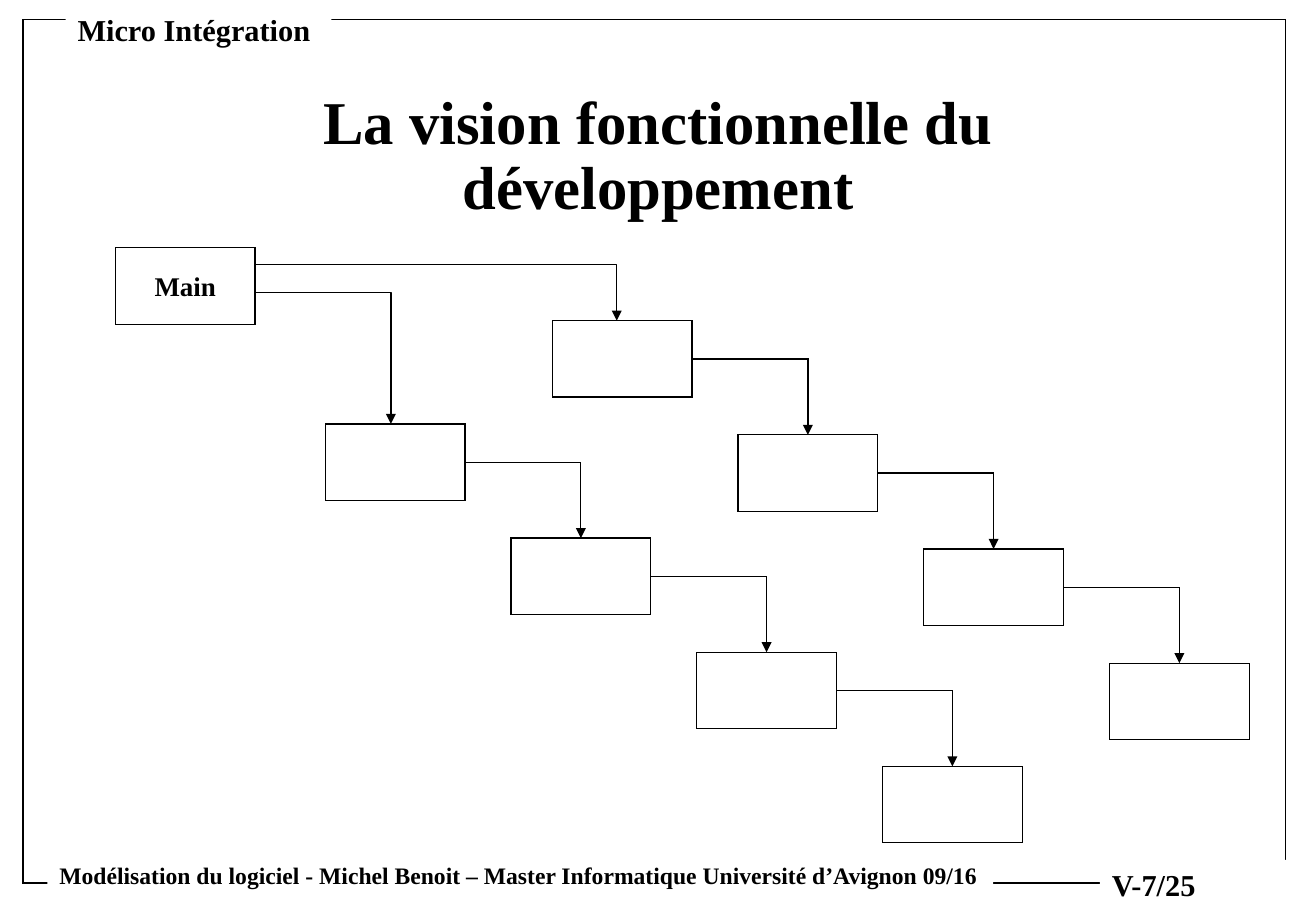
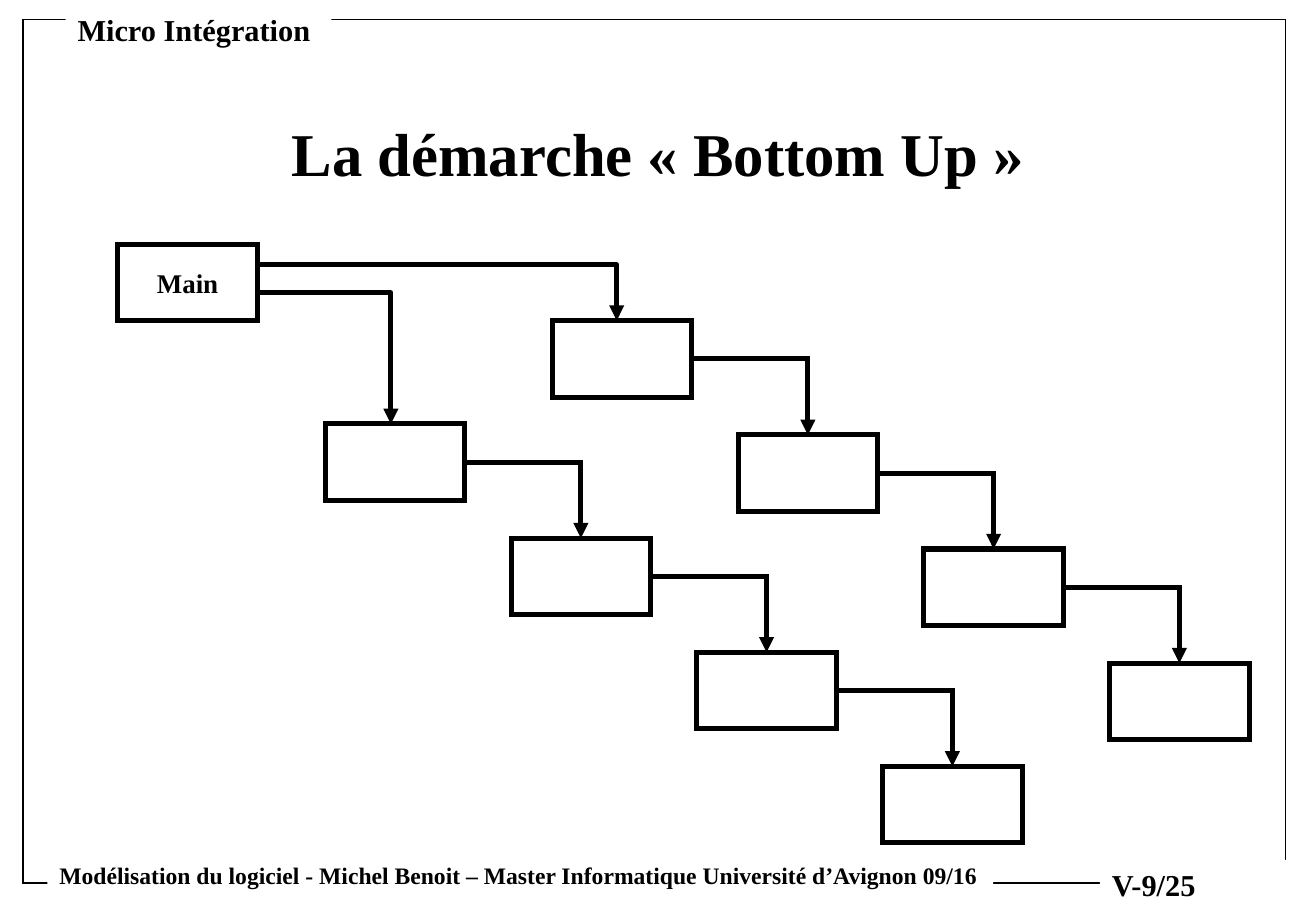
from itertools import pairwise

from lxml import etree
from pptx import Presentation
from pptx.dml.color import RGBColor
from pptx.enum.shapes import MSO_CONNECTOR, MSO_SHAPE
from pptx.enum.text import MSO_ANCHOR, PP_ALIGN
from pptx.oxml.ns import qn
from pptx.util import Inches, Pt

RECTANGLE = MSO_SHAPE.RECTANGLE
ELBOW = MSO_CONNECTOR.ELBOW
MIDDLE, TOP = MSO_ANCHOR.MIDDLE, MSO_ANCHOR.TOP
CENTER, LEFT = PP_ALIGN.CENTER, PP_ALIGN.LEFT
TOP_SIDE, RIGHT_SIDE = 0, 3

BLACK, WHITE = "000000", "FFFFFF"
FONT = "Times New Roman"

SLIDES = [
    {"title": "La vision fonctionnelle du développement", "number": "V-7/25",
     "line_width": 0.75, "main": (0.95, 2.04)},
    {"title": "La démarche « Bottom Up »", "number": "V-9/25",
     "line_width": 3, "main": (0.97, 2.01)},
]
HEADER = "Micro Intégration"
FOOTER = ("Modélisation du logiciel - Michel Benoit – "
          "Master Informatique Université d’Avignon 09/16")

# Left, top, width, height in inches
FRAME = (0.19, 0.16, 10.4, 7.11)
TITLE = (1.17, 0.67, 8.5, 1.25)
NUMBER_BAND = (9.06, 7.08, 1.78, 0.4)
HEADER_BAND = (0.54, 0.04, 2.19, 0.4)
FOOTER_BAND = (0.39, 7.04, 7.79, 0.33)

BOX_SIZE = (1.15, 0.63)
CHAIN_STARTS = [(4.55, 2.64), (2.68, 3.49)]
CHAIN_LENGTH = 4
CHAIN_STEP = (1.53, 0.94)
MAIN_ARROWS = [
    [(2.1, 2.18), (5.08, 2.18), (5.08, 2.64)],
    [(2.1, 2.41), (3.22, 2.41), (3.22, 3.49)],
]


def color(value):
    return RGBColor.from_string(value)


def inches(values):
    return [Inches(value) for value in values]


def set_line(item, width):
    item.line.color.rgb = color(BLACK)
    item.line.width = Pt(width)


def add_line_part(item, name, **attributes):
    """Append a join or arrowhead to the outline of a shape or connector."""
    outline = item._element.spPr.find(qn("a:ln"))
    etree.SubElement(outline, qn(f"a:{name}"), attributes)


def write(shape, text, size, align=LEFT, anchor=TOP, spacing=1.0):
    frame = shape.text_frame
    frame.word_wrap = True
    frame.vertical_anchor = anchor
    para = frame.paragraphs[0]
    para.alignment = align
    para.line_spacing = spacing
    span = para.add_run()
    span.text = text
    formats = {"name": FONT, "size": Pt(size), "bold": True}
    for key, value in formats.items():
        setattr(span.font, key, value)
    span.font.color.rgb = color(BLACK)


def add_box(page, area, width, fill=WHITE):
    box = page.shapes.add_shape(RECTANGLE, *inches(area))
    box.shadow.inherit = False
    if fill:
        box.fill.solid()
        box.fill.fore_color.rgb = color(fill)
    else:
        box.fill.background()
    set_line(box, width)
    add_line_part(box, "miter", lim="800000")
    return box


def add_band(page, area, text, size):
    """Add white-backed text that interrupts the frame."""
    band = page.shapes.add_textbox(*inches(area))
    band.fill.solid()
    band.fill.fore_color.rgb = color(WHITE)
    write(band, text, size)


def add_chain(page, start, width):
    """Add a descending staircase of boxes, each leading to the next."""
    boxes = []
    for index in range(CHAIN_LENGTH):
        corner = [origin + index * step for origin, step in zip(start, CHAIN_STEP)]
        boxes.append(add_box(page, (*corner, *BOX_SIZE), width))
    for caller, called in pairwise(boxes):
        arrow = page.shapes.add_connector(ELBOW, 0, 0, 0, 0)
        arrow.begin_connect(caller, RIGHT_SIDE)
        arrow.end_connect(called, TOP_SIDE)
        properties = arrow._element.spPr
        properties.find(qn("a:prstGeom")).set("prst", "bentConnector2")
        set_line(arrow, width)
        add_line_part(arrow, "miter", lim="800000")
        add_line_part(arrow, "tailEnd", type="triangle")
        etree.SubElement(properties, qn("a:effectLst"))


def add_main_arrow(page, points, width):
    start, *rest = [inches(point) for point in points]
    builder = page.shapes.build_freeform(*start)
    builder.add_line_segments(rest, close=False)
    arrow = builder.convert_to_shape()
    arrow.shadow.inherit = False
    arrow.fill.background()
    set_line(arrow, width)
    add_line_part(arrow, "round")
    add_line_part(arrow, "tailEnd", type="triangle")


def add_page(deck, content):
    page = deck.slides.add_slide(deck.slide_layouts[6])
    add_box(page, FRAME, 1, fill=None)
    add_band(page, NUMBER_BAND, content["number"], 18)
    add_band(page, HEADER_BAND, HEADER, 18)
    add_band(page, FOOTER_BAND, FOOTER, 14)
    title = page.shapes.add_textbox(*inches(TITLE))
    write(title, content["title"], 36, CENTER, MIDDLE, 0.9)

    width = content["line_width"]
    for start in CHAIN_STARTS:
        add_chain(page, start, width)
    for points in MAIN_ARROWS:
        add_main_arrow(page, points, width)
    main_box = add_box(page, (*content["main"], *BOX_SIZE), width)
    write(main_box, "Main", 16, CENTER, MIDDLE)


def main():
    deck = Presentation()
    deck.slide_width, deck.slide_height = inches((10.84, 7.5))
    for content in SLIDES:
        add_page(deck, content)
    deck.save("out.pptx")


if __name__ == "__main__":
    main()
